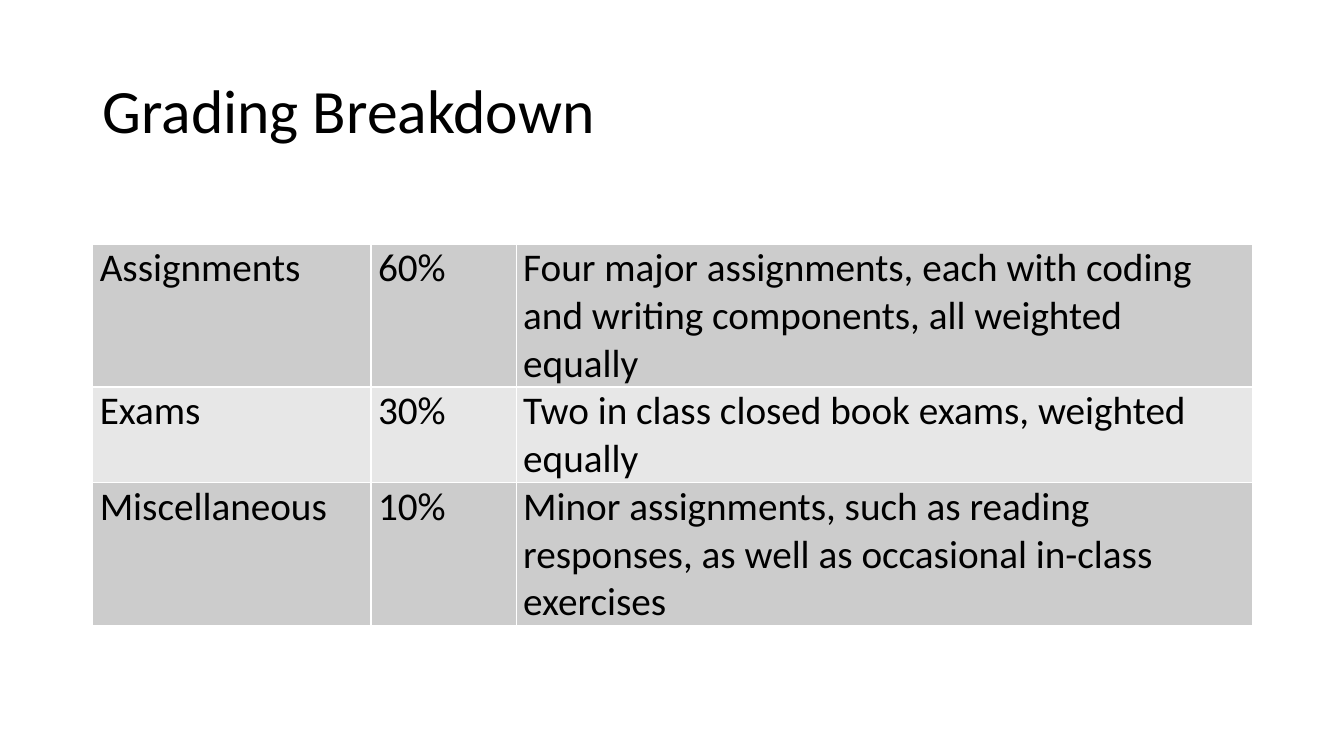
from dataclasses import dataclass

from lxml.etree import SubElement
from pptx import Presentation
from pptx.dml.color import RGBColor
from pptx.enum.text import MSO_ANCHOR
from pptx.oxml.ns import qn
from pptx.util import Inches, Pt


@dataclass(frozen=True)
class Theme:
    font: str = "Calibri"
    text: str = "000000"
    bands: tuple = ("CCCCCC", "E7E7E7")
    border: str = "FFFFFF"
    border_width: int = 1
    title_size: int = 44
    table_size: int = 28


theme = Theme()


def write_text(frame, text, size, line_spacing=None):
    frame.word_wrap = True
    paragraph = frame.paragraphs[0]
    paragraph.line_spacing = line_spacing
    run = paragraph.add_run()
    run.text = text
    run.font.name = theme.font
    run.font.size = Pt(size)
    run.font.color.rgb = RGBColor.from_string(theme.text)


def add_borders(cell):
    properties = cell._tc.get_or_add_tcPr()
    for side in ("a:lnL", "a:lnR", "a:lnT", "a:lnB"):
        line = SubElement(properties, qn(side), w=str(Pt(theme.border_width)))
        fill = SubElement(line, qn("a:solidFill"))
        SubElement(fill, qn("a:srgbClr"), val=theme.border)


presentation = Presentation()
presentation.slide_width = Inches(13.33)
presentation.slide_height = Inches(7.5)
slide = presentation.slides.add_slide(presentation.slide_layouts[6])

left, width = Inches(0.92), Inches(11.5)

# Title
title = slide.shapes.add_textbox(left, Inches(0.4), width, Inches(1.45))
title.text_frame.vertical_anchor = MSO_ANCHOR.MIDDLE
write_text(title.text_frame, "Grading Breakdown", theme.title_size, line_spacing=0.9)

# Grading table
grades = [
    ("Assignments", "60%",
     "Four major assignments, each with coding and writing components, all weighted equally"),
    ("Exams", "30%", "Two in class closed book exams, weighted equally"),
    ("Miscellaneous", "10%",
     "Minor assignments, such as reading responses, as well as occasional in-class exercises"),
]
column_widths = (2.76, 1.44, 7.3)
row_heights = (1.42, 0.95, 1.42)

table = slide.shapes.add_table(
    len(grades), len(column_widths), left, Inches(2.42), width, Inches(sum(row_heights))
).table
table.first_row = False
table.horz_banding = False
for column, column_width in zip(table.columns, column_widths):
    column.width = Inches(column_width)

for row_index, (row, height, grade) in enumerate(zip(table.rows, row_heights, grades)):
    row.height = Inches(height)
    band = theme.bands[row_index % len(theme.bands)]
    for cell, text in zip(row.cells, grade):
        cell.margin_left = cell.margin_right = Inches(0.07)
        cell.margin_top = cell.margin_bottom = 0
        add_borders(cell)
        cell.fill.solid()
        cell.fill.fore_color.rgb = RGBColor.from_string(band)
        write_text(cell.text_frame, text, theme.table_size)

presentation.save("out.pptx")
